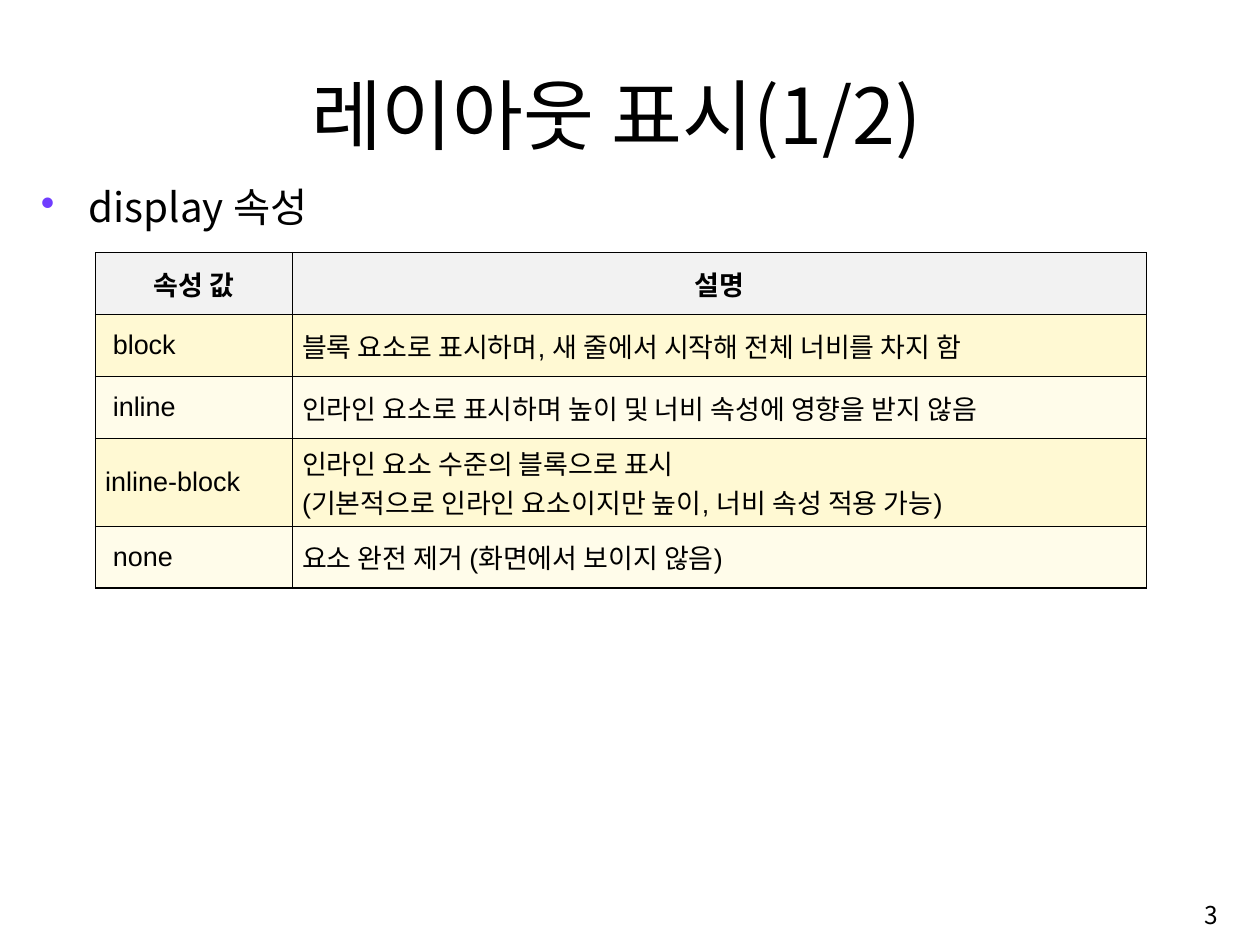
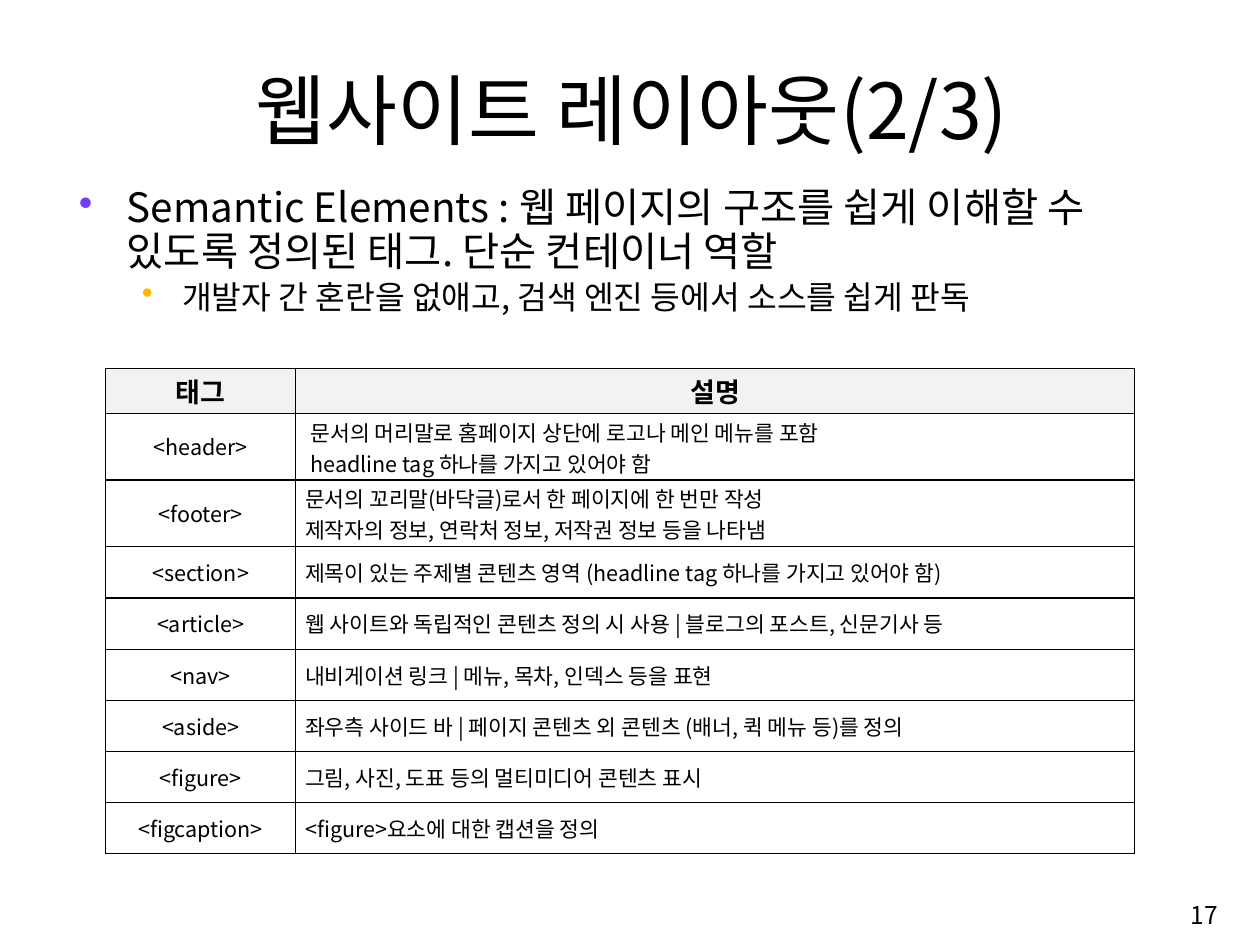
from lxml.etree import SubElement
from pptx import Presentation
from pptx.dml.color import RGBColor
from pptx.enum.text import MSO_ANCHOR, PP_ALIGN
from pptx.oxml.ns import qn
from pptx.util import Cm, Pt

FONT = "Noto Sans CJK KR"
TABLE_FONT = "Arial"
BLACK = RGBColor(0x00, 0x00, 0x00)
VIOLET = RGBColor(0x70, 0x3D, 0xFF)
AMBER = RGBColor(0xFF, 0xB8, 0x00)
HEADER_GRAY = RGBColor(0xF2, 0xF2, 0xF2)
CREAM = RGBColor(0xFF, 0xF9, 0xD3)
PALE_CREAM = RGBColor(0xFF, 0xFC, 0xEA)

# Bullet levels: text size, bullet colour, left margin, hanging indent.
BULLET_LEVELS = [
    (30, VIOLET, Cm(1.25), Cm(-1.25)),
    (24, AMBER, Cm(2.7), Cm(-1.05)),
]
BODY_LINE_SPACING = 0.9

DISPLAY_ROWS = [
    ("속성 값", "설명"),
    ("block", "블록 요소로 표시하며, 새 줄에서 시작해 전체 너비를 차지 함"),
    ("inline", "인라인 요소로 표시하며 높이 및 너비 속성에 영향을 받지 않음"),
    ("inline-block", "인라인 요소 수준의 블록으로 표시\n"
                     "(기본적으로 인라인 요소이지만 높이, 너비 속성 적용 가능)"),
    ("none", "요소 완전 제거 (화면에서 보이지 않음)"),
]
SEMANTIC_ROWS = [
    ("태그", "설명"),
    ("<header>", "문서의 머리말로 홈페이지 상단에 로고나 메인 메뉴를 포함\n"
                 "headline tag 하나를 가지고 있어야 함"),
    ("<footer>", "문서의 꼬리말(바닥글)로서 한 페이지에 한 번만 작성\n"
                 "제작자의 정보, 연락처 정보, 저작권 정보 등을 나타냄"),
    ("<section>", "제목이 있는 주제별 콘텐츠 영역 (headline tag 하나를 가지고 있어야 함)"),
    ("<article>", "웹 사이트와 독립적인 콘텐츠 정의 시 사용 | 블로그의 포스트, 신문기사 등"),
    ("<nav>", "내비게이션 링크 | 메뉴, 목차, 인덱스 등을 표현"),
    ("<aside>", "좌우측 사이드 바 | 페이지 콘텐츠 외 콘텐츠 (배너, 퀵 메뉴 등)를 정의"),
    ("<figure>", "그림, 사진, 도표 등의 멀티미디어 콘텐츠 표시"),
    ("<figcaption>", "<figure>요소에 대한 캡션을 정의"),
]


def write_paragraph(paragraph, text, size, font=FONT, bold=False,
                    align=PP_ALIGN.LEFT):
    paragraph.alignment = align
    run = paragraph.add_run()
    run.text = text
    run.font.name = font
    run.font.size = Pt(size)
    run.font.bold = bold
    run.font.color.rgb = BLACK
    SubElement(run._r.get_or_add_rPr(), qn("a:ea"), typeface=FONT)


def set_indent(paragraph, margin, indent=0):
    properties = paragraph._p.get_or_add_pPr()
    properties.set("marL", str(margin))
    properties.set("indent", str(indent))


def add_text_frame(slide, box, anchor=MSO_ANCHOR.TOP):
    frame = slide.shapes.add_textbox(*box).text_frame
    frame.word_wrap = True
    frame.vertical_anchor = anchor
    return frame


def add_title(slide, text, left, top):
    box = (left, top, Cm(26.95), Cm(2.75))
    frame = add_text_frame(slide, box, MSO_ANCHOR.MIDDLE)
    write_paragraph(frame.paragraphs[0], text, 57.2, align=PP_ALIGN.CENTER)


def add_page_number(slide, number):
    box = (Cm(25.35), Cm(23.22), Cm(6.8), Cm(1.5))
    frame = add_text_frame(slide, box, MSO_ANCHOR.MIDDLE)
    write_paragraph(frame.paragraphs[0], str(number), 18.2, align=PP_ALIGN.RIGHT)


def add_bullets(slide, texts, box):
    """Place the texts one bullet level deeper each."""
    frame = add_text_frame(slide, box)
    for level, (text, style) in enumerate(zip(texts, BULLET_LEVELS)):
        size, color, margin, indent = style
        paragraph = frame.add_paragraph() if level else frame.paragraphs[0]
        paragraph.level = level
        paragraph.line_spacing = BODY_LINE_SPACING
        paragraph.space_before = Pt(size * 0.2)
        set_indent(paragraph, margin, indent)
        properties = paragraph._p.get_or_add_pPr()
        bullet_color = SubElement(properties, qn("a:buClr"))
        SubElement(bullet_color, qn("a:srgbClr"), val=str(color))
        SubElement(properties, qn("a:buChar"), char="•")
        write_paragraph(paragraph, text, size)


def add_cell_borders(cell):
    properties = cell._tc.get_or_add_tcPr()
    for side in ("lnL", "lnR", "lnT", "lnB"):
        line = SubElement(properties, qn(f"a:{side}"), w=str(Pt(1)))
        fill = SubElement(line, qn("a:solidFill"))
        SubElement(fill, qn("a:srgbClr"), val=str(BLACK))


def fill_cell(cell, text, fill=None, margin=Cm(0.13), indent=0, **text_format):
    add_cell_borders(cell)
    if fill is None:
        cell.fill.background()
    else:
        cell.fill.solid()
        cell.fill.fore_color.rgb = fill
    cell.vertical_anchor = MSO_ANCHOR.MIDDLE
    cell.margin_top = cell.margin_bottom = margin
    frame = cell.text_frame
    for index, line in enumerate(text.split("\n")):
        paragraph = frame.add_paragraph() if index else frame.paragraphs[0]
        if indent:
            set_indent(paragraph, indent)
        write_paragraph(paragraph, line, **text_format)


def row_heights(rows, header, single, double):
    """Give a height for each row by the number of lines in its description."""
    return [header] + [double if "\n" in text else single for _, text in rows[1:]]


def add_grid(slide, rows, left, top, widths, heights):
    """Add an unstyled table and return it with its columns and rows sized."""
    table = slide.shapes.add_table(len(rows), len(widths), left, top,
                                   sum(widths), sum(heights)).table
    table.first_row = table.horz_banding = False
    for column, width in zip(table.columns, widths):
        column.width = width
    for row, height in zip(table.rows, heights):
        row.height = height
    return table


def add_display_table(slide, left, top):
    heights = row_heights(DISPLAY_ROWS, Cm(1.62), Cm(1.62), Cm(2.3))
    table = add_grid(slide, DISPLAY_ROWS, left, top, (Cm(5.16), Cm(22.36)), heights)
    for row, texts in enumerate(DISPLAY_ROWS):
        header = row == 0
        fill = HEADER_GRAY if header else (PALE_CREAM, CREAM)[row % 2]
        for column, text in enumerate(texts):
            short_label = not header and column == 0 and text != "inline-block"
            fill_cell(table.cell(row, column), text, fill, size=20,
                      font=TABLE_FONT, bold=header,
                      indent=Cm(0.2) if short_label else 0,
                      align=PP_ALIGN.CENTER if header else PP_ALIGN.LEFT)


def add_semantic_table(slide, left, top):
    heights = row_heights(SEMANTIC_ROWS, Cm(1.17), Cm(1.34), Cm(1.75))
    table = add_grid(slide, SEMANTIC_ROWS, left, top, (Cm(4.97), Cm(21.98)), heights)
    for row, texts in enumerate(SEMANTIC_ROWS):
        header = row == 0
        for column, text in enumerate(texts):
            centered = header or column == 0
            fill_cell(table.cell(row, column), text,
                      HEADER_GRAY if header else None, margin=Cm(0.08),
                      indent=Cm(0.14) if (row, column) == (1, 1) else 0,
                      size=20 if header else 16, bold=header,
                      align=PP_ALIGN.CENTER if centered else PP_ALIGN.JUSTIFY)


def build_display_slide(slide):
    add_bullets(slide, ["display 속성"], (Cm(0.82), Cm(4.8), Cm(31.3), Cm(18.4)))
    add_page_number(slide, 3)
    add_display_table(slide, Cm(2.5), Cm(6.62))
    add_title(slide, "레이아웃 표시(1/2)", Cm(2.67), Cm(1.6))


def build_semantic_slide(slide):
    add_bullets(slide, [
        "Semantic Elements : 웹 페이지의 구조를 쉽게 이해할 수 있도록 정의된 태그. "
        "단순 컨테이너 역할",
        "개발자 간 혼란을 없애고, 검색 엔진 등에서 소스를 쉽게 판독",
    ], (Cm(1.82), Cm(4.8), Cm(28.85), Cm(17.4)))
    add_page_number(slide, 17)
    add_title(slide, "웹사이트 레이아웃(2/3)", Cm(3.07), Cm(1.47))
    add_semantic_table(slide, Cm(2.77), Cm(9.65))


def main():
    presentation = Presentation()
    presentation.slide_width = Cm(33)
    presentation.slide_height = Cm(24.75)
    blank_layout = presentation.slide_layouts[6]
    for build in (build_display_slide, build_semantic_slide):
        build(presentation.slides.add_slide(blank_layout))
    presentation.save("out.pptx")


if __name__ == "__main__":
    main()
